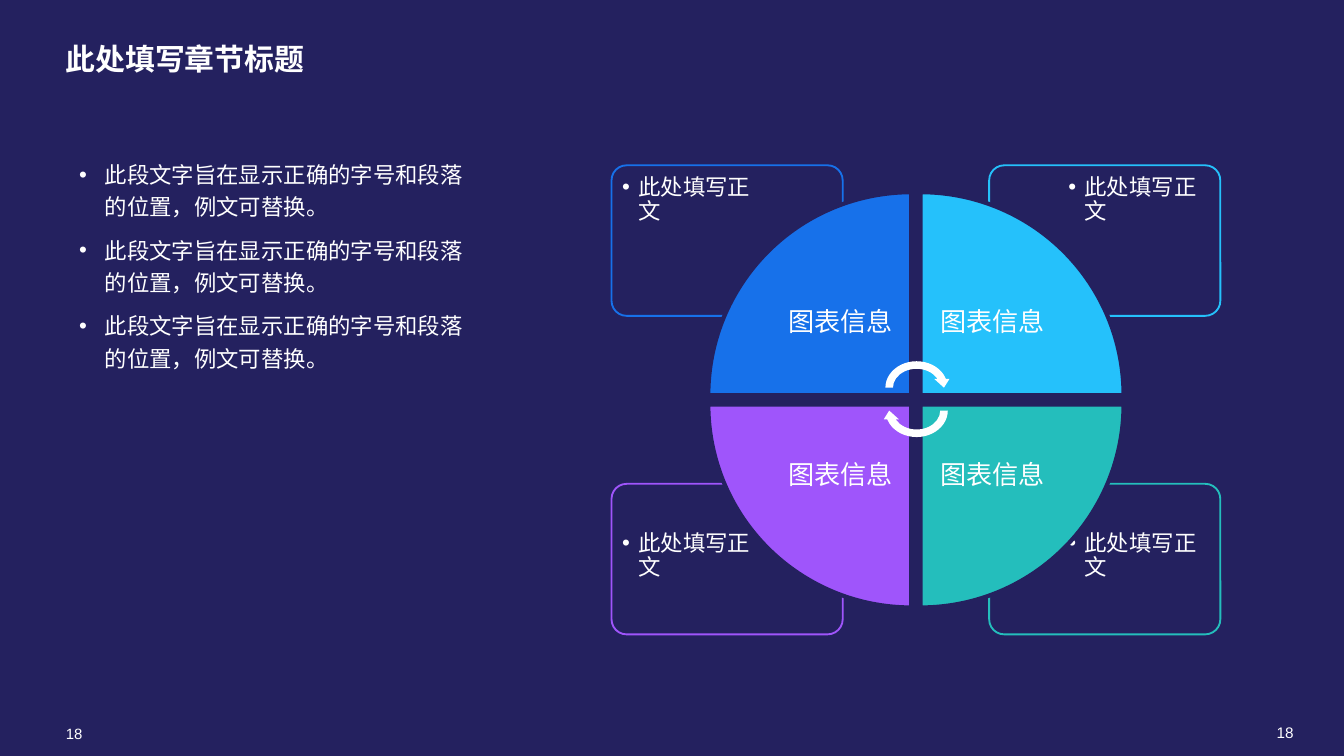
from dataclasses import dataclass

import pptx
import pptx.dml.color
import pptx.enum.shapes
import pptx.enum.text
import pptx.oxml
import pptx.oxml.ns
import pptx.util

Inches = pptx.util.Inches
Pt = pptx.util.Pt
Kind = pptx.enum.shapes.MSO_SHAPE
Align = pptx.enum.text.PP_ALIGN
Anchor = pptx.enum.text.MSO_ANCHOR

NAVY, WHITE = "24215F", "FFFFFF"
SANS = "Noto Sans CJK SC"


@dataclass
class Box:
    x: float
    y: float
    w: float
    h: float


@dataclass
class Style:
    size: float
    font: str = SANS
    bold: bool = False
    align: Align = Align.LEFT
    anchor: Anchor = Anchor.TOP
    inset: tuple[float, float] = (0, 0)
    lead: float = 1.0
    gap: float = 0
    indent: float = 0


@dataclass
class Part:
    color: str
    card: Box
    note: Box
    wedge: Box
    label: Box
    turn: int


def tint(code: str):
    return pptx.dml.color.RGBColor.from_string(code)


def place(box: Box):
    return [Inches(v) for v in (box.x, box.y, box.w, box.h)]


def element(tag: str, **attrs: str):
    node = pptx.oxml.parse_xml(f"<a:{tag} {pptx.oxml.ns.nsdecls('a')}/>")
    for key, value in attrs.items():
        node.set(key, value)
    return node


def add_text(slide, box: Box, lines: list[str], style: Style) -> None:
    frame = slide.shapes.add_textbox(*place(box)).text_frame
    frame.word_wrap = True
    frame.vertical_anchor = style.anchor
    frame.margin_left = frame.margin_right = Inches(style.inset[0])
    frame.margin_top = frame.margin_bottom = Inches(style.inset[1])
    frame.text = "\n".join(lines)
    for i, para in enumerate(frame.paragraphs):
        if style.indent:
            props = para._p.get_or_add_pPr()
            step = Inches(style.indent)
            props.set("marL", str(step))
            props.set("indent", str(-step))
            props.append(element("buFont", typeface="Arial"))
            props.append(element("buChar", char="•"))
        para.alignment = style.align
        para.line_spacing = style.lead
        if i and style.gap:
            para.space_before = Pt(style.gap)
        for run in para.runs:
            font = run.font
            font.size = Pt(style.size)
            font.bold = style.bold
            font.name = style.font
            font.color.rgb = tint(WHITE)
            run._r.get_or_add_rPr().append(element("ea", typeface=style.font))


def add_form(slide, kind: Kind, box: Box, fill: str = "", line: str = "",
             width: float = 1, turn: int = 0):
    form = slide.shapes.add_shape(kind, *place(box))
    form.shadow.inherit = False
    form.rotation = turn
    if fill:
        form.fill.solid()
        form.fill.fore_color.rgb = tint(fill)
    else:
        form.fill.background()
    if line:
        form.line.color.rgb = tint(line)
        form.line.width = Pt(width)
    else:
        form.line.fill.background()
    return form


def make_part(color: str, col: int, row: int, turn: int) -> Part:
    return Part(
        color,
        Box((4.55, 7.36)[col], (1.23, 3.6)[row], 1.72, 1.12),
        Box((4.58, 7.9)[col], (1.26, 3.91)[row], 1.16, 0.79),
        Box(5.27 + 1.58 * col, 1.43 + 1.58 * row, 1.51, 1.51),
        Box((5.72, 6.85)[col], (1.87, 3.01)[row], 1.07, 1.07),
        turn,
    )


def main() -> None:
    deck = pptx.Presentation()
    deck.slide_width = Inches(10)
    deck.slide_height = Inches(10) * 9 // 16
    slide = deck.slides.add_slide(deck.slide_layouts[6])
    slide.background.fill.solid()
    slide.background.fill.fore_color.rgb = tint(NAVY)

    for box, size in ((Box(0.49, 5.39, 0.25, 0.13), 8),
                      (Box(9.5, 5.38, 0.5, 0.14), 8.2)):
        add_text(slide, box, ["18"], Style(size, "Arial", anchor=Anchor.MIDDLE))

    parts = [
        make_part("1771EA", 0, 0, 0),
        make_part("25C1FB", 1, 0, 90),
        make_part("24BEBC", 1, 1, 180),
        make_part("9F55FB", 0, 1, 270),
    ]
    note = Style(12, inset=(0.05, 0.05), lead=0.9, indent=0.12)
    label = Style(14, align=Align.CENTER, anchor=Anchor.MIDDLE,
                  inset=(0.11, 0.11), lead=0.9)
    for part in parts:
        card = add_form(slide, Kind.ROUNDED_RECTANGLE, part.card, line=part.color)
        card.adjustments[0] = 0.1
        add_text(slide, part.note, ["此处填写正文"], note)
    for part in parts:
        add_form(slide, Kind.PIE_WEDGE, part.wedge, part.color, NAVY, 2.25, part.turn)
        add_text(slide, part.label, ["图表信息"], label)
    for y, turn in ((2.66, 0), (2.83, 180)):
        add_form(slide, Kind.CIRCULAR_ARROW, Box(6.56, y, 0.52, 0.45), WHITE, turn=turn)

    add_text(slide, Box(0.49, 1.11, 3.09, 1.72),
             ["此段文字旨在显示正确的字号和段落的位置，例文可替换。"] * 3,
             Style(12, inset=(0.1, 0.05), lead=1.2, gap=6, indent=0.19))
    add_text(slide, Box(0.49, 0.3, 9.19, 0.64), ["此处填写章节标题"],
             Style(16, bold=True))
    deck.save("out.pptx")


if __name__ == "__main__":
    main()
